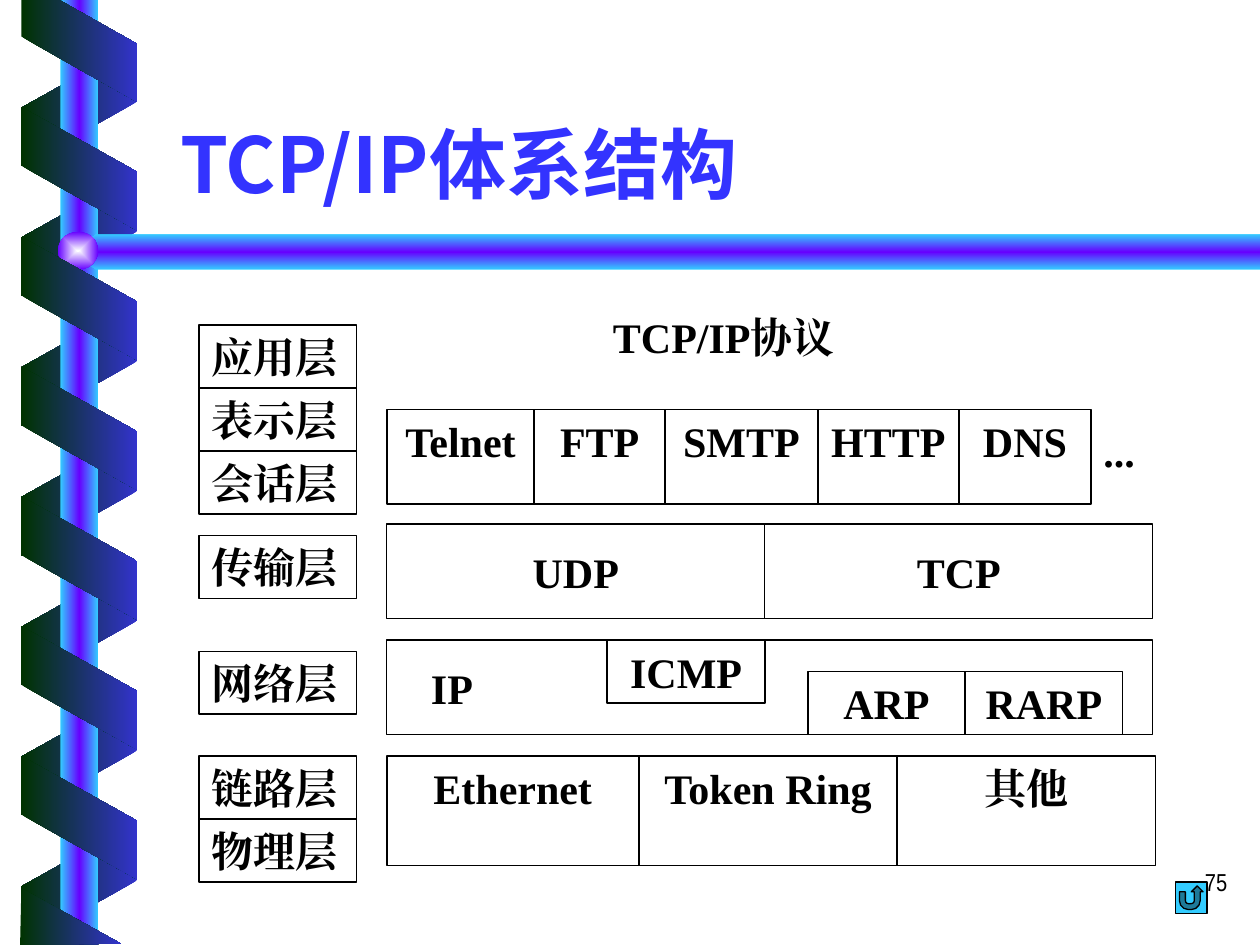
"""Build a slide that sets the TCP/IP protocols beside the seven network layers."""
import dataclasses

import pptx
import pptx.dml.color
import pptx.enum.shapes
import pptx.enum.text
import pptx.oxml
import pptx.oxml.ns
import pptx.util

Inches = pptx.util.Inches
Pt = pptx.util.Pt
SHAPE = pptx.enum.shapes.MSO_SHAPE
ALIGN = pptx.enum.text.PP_ALIGN
ANCHOR = pptx.enum.text.MSO_ANCHOR

LABEL = {"size": Pt(24), "bold": True, "name": "Times New Roman"}
TITLE = {"size": Pt(44), "bold": True, "name": "Noto Sans CJK SC"}
NUMBER = {"size": Pt(14), "name": "Arial Narrow"}
BAR = ["33CCFF", "6600FF", "33CCFF"]
RIBBON = ["003300", "3333CC"]
LINEAR = '<a:lin ang="{}" scaled="0"/>'
CENTRED = ('<a:path path="rect"><a:fillToRect l="50000" t="50000" '
           'r="50000" b="50000"/></a:path>')


@dataclasses.dataclass
class Box:
    text: str
    left: float
    top: float
    width: float
    height: float = 0.5
    align: ALIGN = ALIGN.CENTER
    anchor: ANCHOR = ANCHOR.TOP
    weight: float = 1
    inset: float = 0.1


def colour(code: str) -> pptx.dml.color.RGBColor:
    return pptx.dml.color.RGBColor.from_string(code)


def set_gradient(shape, codes: list[str], course: str) -> None:
    shape.shadow.inherit = False
    shape.line.fill.background()
    shape.fill.gradient()
    stops = "".join(
        f'<a:gs pos="{100000 * index // (len(codes) - 1)}"><a:srgbClr val="{code}"/></a:gs>'
        for index, code in enumerate(codes))
    gradient = pptx.oxml.parse_xml(
        f'<a:gradFill {pptx.oxml.ns.nsdecls("a")} rotWithShape="0">'
        f'<a:gsLst>{stops}</a:gsLst>{course}</a:gradFill>')
    properties = shape._element.spPr
    properties.replace(properties.find(pptx.oxml.ns.qn("a:gradFill")), gradient)


def add_preset(page, kind: SHAPE, left: float, top: float, width: float, height: float):
    return page.shapes.add_shape(kind, Inches(left), Inches(top), Inches(width), Inches(height))


def add_outline(page, points: list[tuple[float, float]], codes: list[str], angle: int) -> None:
    corners = [(Inches(x), Inches(y)) for x, y in points]
    builder = page.shapes.build_freeform(*corners[0], scale=1.0)
    builder.add_line_segments(corners[1:], close=True)
    set_gradient(builder.convert_to_shape(), codes, LINEAR.format(angle * 60000))


def add_band(page, top: float, front: bool) -> None:
    band = add_preset(page, SHAPE.PARALLELOGRAM, 0.14, top, 0.98, 0.92)
    band.adjustments[0] = 0.56
    band.rotation = 270 if front else 90
    if not front:
        band._element.spPr.xfrm.set("flipH", "1")
    set_gradient(band, RIBBON if front else RIBBON[::-1], LINEAR.format(0))


def write(shape, text: str, style: dict, code: str, align: ALIGN, anchor: ANCHOR,
          inset: float = 0.1) -> None:
    frame = shape.text_frame
    layout = {"word_wrap": True, "auto_size": pptx.enum.text.MSO_AUTO_SIZE.NONE,
              "vertical_anchor": anchor, "margin_left": Inches(inset),
              "margin_right": Inches(0.1), "margin_top": Inches(0.05),
              "margin_bottom": Inches(0.05)}
    for key, value in layout.items():
        setattr(frame, key, value)
    para = frame.paragraphs[0]
    para.alignment = align
    span = para.add_run()
    span.text = text
    for key, value in style.items():
        setattr(span.font, key, value)
    span.font.color.rgb = colour(code)
    east = pptx.oxml.parse_xml(
        f'<a:ea {pptx.oxml.ns.nsdecls("a")} typeface="{style["name"]}"/>')
    span.font._element.find(pptx.oxml.ns.qn("a:latin")).addnext(east)


def add_box(page, box: Box) -> None:
    shape = add_preset(page, SHAPE.RECTANGLE, box.left, box.top, box.width, box.height)
    shape.shadow.inherit = False
    shape.fill.background()
    if box.weight:
        shape.line.color.rgb = colour("000000")
        shape.line.width = Pt(box.weight)
    else:
        shape.line.fill.background()
    write(shape, box.text, LABEL, "000000", box.align, box.anchor, box.inset)


def add_row(page, cells: dict[str, float], left: float, top: float, height: float,
            **options) -> None:
    for text, width in cells.items():
        add_box(page, Box(text, left, top, width, height, **options))
        left += width


def add_text(page, text: str, left: float, top: float, width: float, style: dict,
             align: ALIGN) -> None:
    box = page.shapes.add_textbox(Inches(left), Inches(top), Inches(width), Inches(0.5))
    write(box, text, style, "000000", align, ANCHOR.TOP)


def add_decoration(page) -> None:
    for step in range(7):
        add_band(page, 0.37 + 1.03 * step, front=False)
    pole = add_preset(page, SHAPE.RECTANGLE, 0.48, 0, 0.3, 7.5)
    set_gradient(pole, BAR, LINEAR.format(0))
    add_outline(page, [(10, 1.86), (0.76, 1.86), (0.6, 2), (0.76, 2.14), (10, 2.14)], BAR, 90)
    ball = add_preset(page, SHAPE.OVAL, 0.46, 1.84, 0.32, 0.3)
    set_gradient(ball, ["FEFFFF", "6600FF"], CENTRED)
    for step in range(6):
        add_band(page, 0.88 + 1.03 * step, front=True)
    add_outline(page, [(0.17, 0), (0.17, 0.29), (1.09, 0.81), (1.09, 0.35), (0.47, 0)], RIBBON, 0)
    add_outline(page, [(0.96, 7.49), (0.17, 7.05), (0.16, 7.5)], RIBBON, 0)


def add_protocols(page) -> None:
    left = 3.07
    middle = {"anchor": ANCHOR.MIDDLE, "weight": 0.75}
    add_row(page, {"Ethernet": 2, "Token Ring": 2.05, "其他": 2.05}, left, 6, 0.87)
    add_row(page, {"IP": 6.08}, left, 5.08, 0.75, align=ALIGN.LEFT, inset=0.35, **middle)
    add_row(page, {"ICMP": 1.25}, 4.82, 5.08, 0.5)
    add_row(page, {"ARP": 1.25, "RARP": 1.25}, 6.41, 5.33, 0.5)
    add_row(page, {"UDP": 3, "TCP": 3.08}, left, 4.16, 0.75, **middle)
    add_row(page, {"Telnet": 1.17, "FTP": 1.04, "SMTP": 1.21, "HTTP": 1.12, "DNS": 1.05},
            left, 3.25, 0.75)
    add_text(page, "...", 8.66, 3.33, 0.5, LABEL, ALIGN.LEFT)
    add_text(page, "TCP/IP协议", 4.58, 2.42, 2.33, LABEL, ALIGN.CENTER)


def add_layers(page) -> None:
    layers = {"应用层": 2.58, "表示层": 3.08, "会话层": 3.58, "传输层": 4.25,
              "网络层": 5.17, "链路层": 6, "物理层": 6.5}
    for text, top in layers.items():
        add_box(page, Box(text, 1.58, top, 1.25, align=ALIGN.LEFT))


def main() -> None:
    deck = pptx.Presentation()
    deck.slide_width, deck.slide_height = Inches(10), Inches(7.5)
    page = deck.slides.add_slide(deck.slide_layouts[5])
    add_decoration(page)
    add_text(page, "75", 7.76, 6.83, 2.08, NUMBER, ALIGN.RIGHT)
    title = page.shapes.title
    place = {"left": 1.33, "top": 0.46, "width": 8.5, "height": 1.25}
    for key, value in place.items():
        setattr(title, key, Inches(value))
    write(title, "TCP/IP体系结构", TITLE, "3333FF", ALIGN.LEFT, ANCHOR.BOTTOM)
    add_protocols(page)
    add_layers(page)
    button = add_preset(page, SHAPE.ACTION_BUTTON_RETURN, 9.33, 7, 0.25, 0.25)
    button.shadow.inherit = False
    button.fill.solid()
    button.fill.fore_color.rgb = colour("33CCFF")
    button.line.color.rgb = colour("000000")
    button.line.width = Pt(0.75)
    deck.save("out.pptx")


if __name__ == "__main__":
    main()
